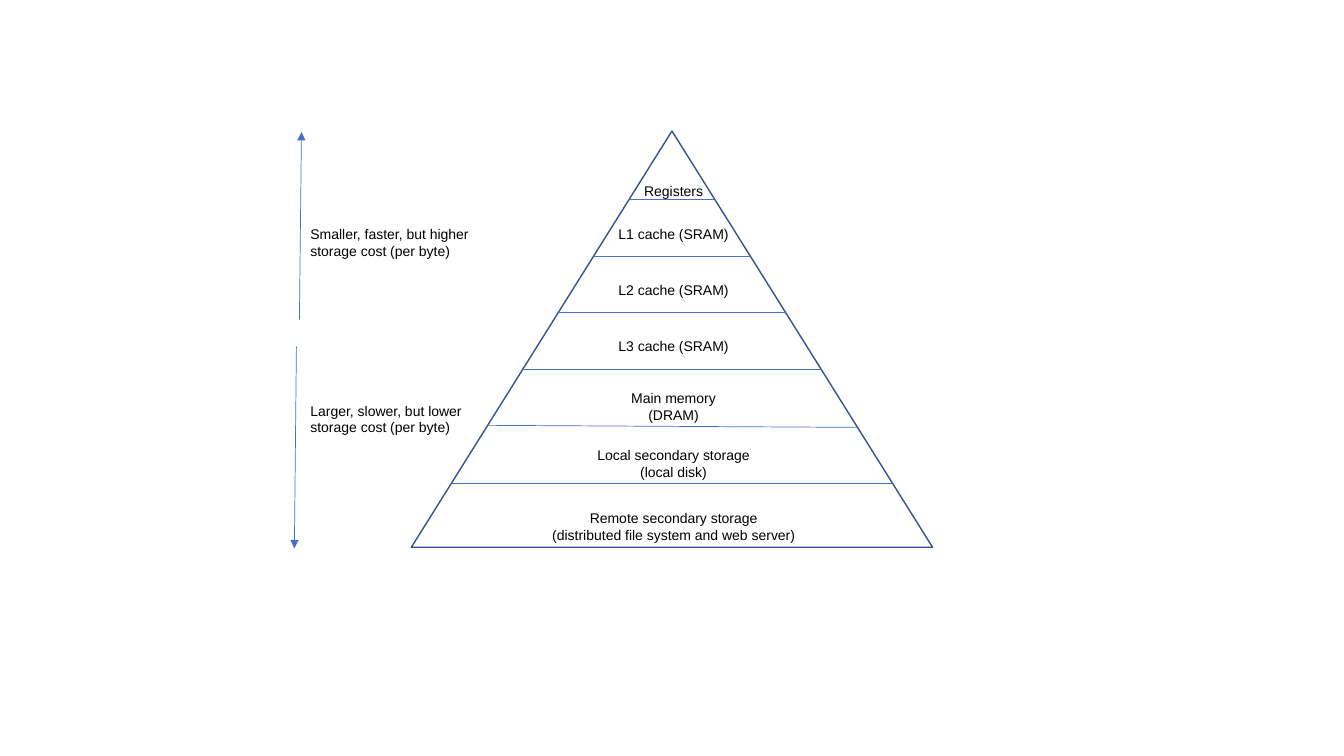
from lxml.etree import SubElement
from pptx import Presentation
from pptx.dml.color import RGBColor
from pptx.enum.shapes import MSO_CONNECTOR, MSO_SHAPE
from pptx.enum.text import MSO_ANCHOR, MSO_AUTO_SIZE, PP_ALIGN
from pptx.oxml.ns import qn
from pptx.util import Inches, Pt

WHITE = RGBColor(0xFF, 0xFF, 0xFF)
BLACK = RGBColor(0x00, 0x00, 0x00)
BLUE = RGBColor(0x44, 0x72, 0xC4)
DARK_BLUE = RGBColor(0x32, 0x54, 0x91)

# Pyramid on the grid: left, top, width, height
PYRAMID = (40.8, 13, 51.7, 41.3)
LABEL_AXIS = 66.8

# Label, then its top row, width and height
LEVELS = [
    ("Registers", 17.6, 11.2, 2.7),
    ("L1 cache (SRAM)", 21.9, 14.4, 2.7),
    ("L2 cache (SRAM)", 27.4, 14.4, 2.7),
    ("L3 cache (SRAM)", 33, 14.4, 2.7),
    ("Main memory (DRAM)", 38.2, 14.4, 4.4),
    ("Local secondary storage\n(local disk)", 43.8, 17.7, 4.4),
    ("Remote secondary storage\n(distributed file system and web server)", 50.1, 37.9, 4.4),
]
# Row of each divider at the left and the right edge
DIVIDERS = [(19.8, 19.8), (25.4, 25.4), (31, 31), (36.6, 36.6), (42.2, 42.4), (48, 48)]

# Note, its top row, then where its arrow starts and ends
TRENDS = [
    ("Smaller, faster, but higher storage cost (per byte)", 21.9, (29.7, 31.7), (29.9, 13.1)),
    ("Larger, slower, but lower storage cost (per byte)", 39.4, (29.4, 34.4), (29.2, 54.4)),
]


class Diagram:
    """Draws on one slide, on a grid of square cells 0.1 inch wide."""

    cell = Inches(0.1)
    font = "Arial"
    size = Pt(10)

    def __init__(self, slide):
        self.shapes = slide.shapes

    def grid(self, *lengths):
        return [round(length * self.cell) for length in lengths]

    def triangle(self, box):
        outline = self.shapes.add_shape(MSO_SHAPE.ISOSCELES_TRIANGLE, *self.grid(*box))
        outline.shadow.inherit = False
        outline.fill.solid()
        outline.fill.fore_color.rgb = WHITE
        outline.line.color.rgb = DARK_BLUE
        outline.line.width = Pt(1)

    def line(self, start, end, arrow=False):
        stroke = self.shapes.add_connector(MSO_CONNECTOR.STRAIGHT, *self.grid(*start, *end))
        stroke.line.color.rgb = BLUE
        stroke.line.width = Pt(0.5)
        if arrow:
            SubElement(stroke.line._get_or_add_ln(), qn("a:tailEnd"), type="triangle")
        SubElement(stroke._element.spPr, qn("a:effectLst"))

    def text(self, wording, box, align):
        frame = self.shapes.add_textbox(*self.grid(*box)).text_frame
        frame.word_wrap = True
        frame.auto_size = MSO_AUTO_SIZE.SHAPE_TO_FIT_TEXT
        frame.vertical_anchor = MSO_ANCHOR.TOP
        frame.text = wording
        for paragraph in frame.paragraphs:
            paragraph.alignment = align
            for run in paragraph.runs:
                run.font.name = self.font
                run.font.size = self.size
                run.font.color.rgb = BLACK


def pyramid_edge(row, side):
    """Point on the left (side -1) or right (side 1) edge at a row."""
    left, top, width, height = PYRAMID
    return left + width / 2 * (1 + side * (row - top) / height), row


def main():
    deck = Presentation()
    deck.slide_width, deck.slide_height = Inches(13.33), Inches(7.5)
    diagram = Diagram(deck.slides.add_slide(deck.slide_layouts[6]))

    diagram.triangle(PYRAMID)
    for left_row, right_row in DIVIDERS:
        diagram.line(pyramid_edge(left_row, -1), pyramid_edge(right_row, 1))
    for label, top, width, height in LEVELS:
        diagram.text(label, (LABEL_AXIS - width / 2, top, width, height), PP_ALIGN.CENTER)
    for note, top, start, end in TRENDS:
        diagram.line(start, end, arrow=True)
        diagram.text(note, (29.8, top, 18.5, 6.1), PP_ALIGN.LEFT)

    deck.save("out.pptx")


if __name__ == "__main__":
    main()
